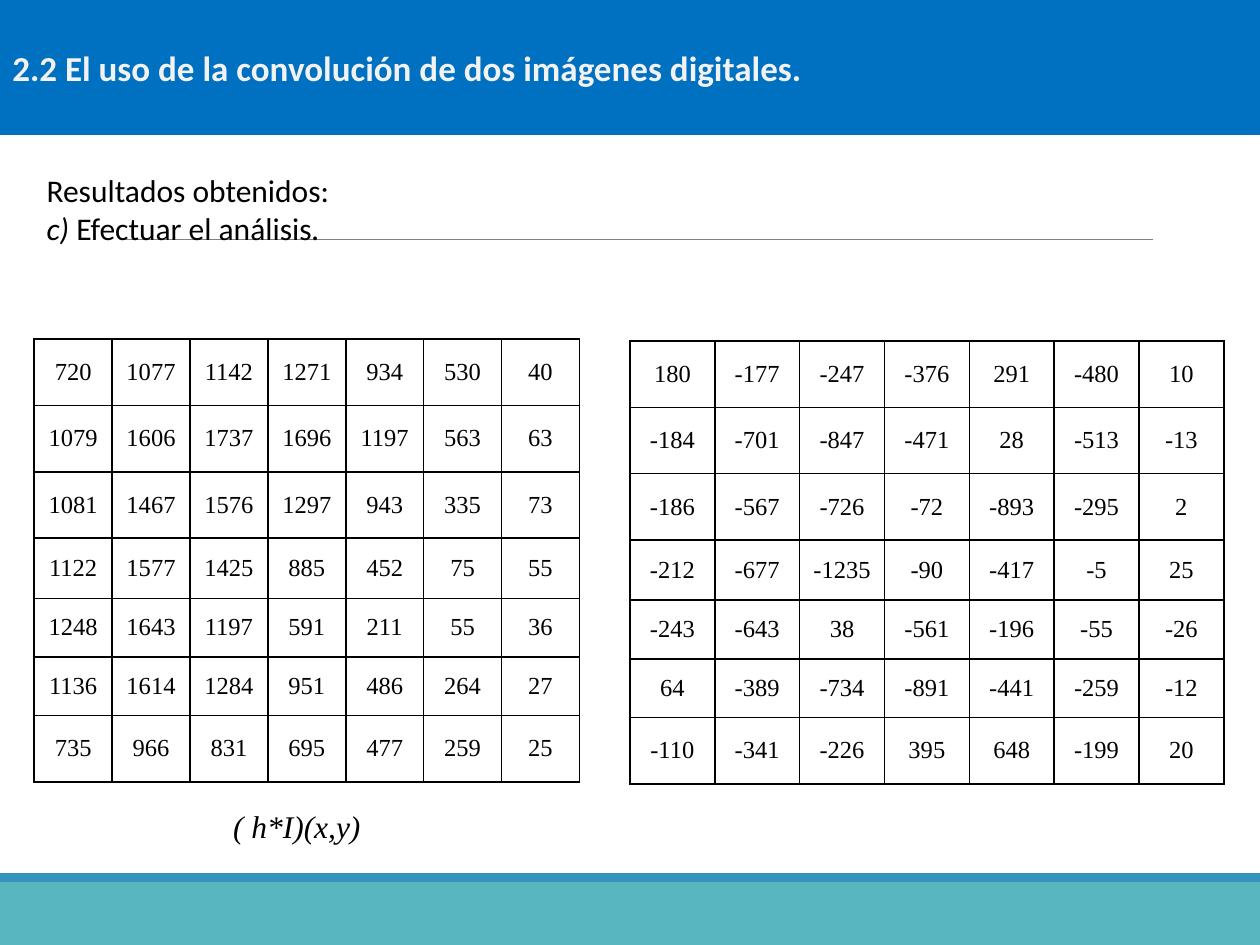
from dataclasses import dataclass

from lxml import etree
from pptx import Presentation
from pptx import util as u
from pptx.dml.color import RGBColor
from pptx.enum import shapes, text
from pptx.oxml import ns

BLACK = RGBColor(0x00, 0x00, 0x00)
WHITE = RGBColor(0xFF, 0xFF, 0xFF)
OFF_WHITE = RGBColor(0xF2, 0xF2, 0xF2)
BLUE = RGBColor(0x00, 0x70, 0xC0)
DARK_TEAL = RGBColor(0x34, 0x94, 0xBA)
TEAL = RGBColor(0x58, 0xB6, 0xC0)
GRAY = RGBColor(0x80, 0x80, 0x80)

SANS, SERIF = "Calibri", "Times New Roman"
ROW_HEIGHTS = [1.34, 1.34, 1.34, 1.21, 1.18, 1.18, 1.34]
CLEAR_ROWS, CLEAR_COLS = range(3, 6), range(5)  # cells without a fill


@dataclass
class Band:
    top: float
    height: float
    color: RGBColor


@dataclass
class Matrix:
    left: float
    top: float
    col_width: float
    values: list[list[int]]


FOOTER = [Band(17.78, 1.27, TEAL), Band(17.6, 0.18, DARK_TEAL)]
HEADER = Band(0, 2.72, BLUE)

CONVOLUTION = Matrix(0.69, 6.83, 1.57, [
    [720, 1077, 1142, 1271, 934, 530, 40],
    [1079, 1606, 1737, 1696, 1197, 563, 63],
    [1081, 1467, 1576, 1297, 943, 335, 73],
    [1122, 1577, 1425, 885, 452, 75, 55],
    [1248, 1643, 1197, 591, 211, 55, 36],
    [1136, 1614, 1284, 951, 486, 264, 27],
    [735, 966, 831, 695, 477, 259, 25],
])
DIFFERENCE = Matrix(12.7, 6.87, 1.71, [
    [180, -177, -247, -376, 291, -480, 10],
    [-184, -701, -847, -471, 28, -513, -13],
    [-186, -567, -726, -72, -893, -295, 2],
    [-212, -677, -1235, -90, -417, -5, 25],
    [-243, -643, 38, -561, -196, -55, -26],
    [64, -389, -734, -891, -441, -259, -12],
    [-110, -341, -226, 395, 648, -199, 20],
])


def set_font(p, name: str, size: float, color: RGBColor) -> None:
    p.font.name, p.font.size = name, u.Pt(size)
    p.font.color.rgb = color


def add_band(s, band: Band):
    sp = s.shapes.add_shape(shapes.MSO_SHAPE.RECTANGLE, 0, u.Cm(band.top),
                            u.Cm(25.4), u.Cm(band.height))
    sp.shadow.inherit = False
    sp.fill.solid()
    sp.fill.fore_color.rgb = band.color
    sp.line.fill.background()
    return sp


def add_borders(cell) -> None:
    tc_pr = cell._tc.get_or_add_tcPr()
    for i, side in enumerate(("lnL", "lnR", "lnT", "lnB")):
        ln = etree.Element(ns.qn(f"a:{side}"), w=str(u.Pt(1)))
        fill = etree.SubElement(ln, ns.qn("a:solidFill"))
        etree.SubElement(fill, ns.qn("a:srgbClr"), val=str(BLACK))
        tc_pr.insert(i, ln)


def add_matrix(s, matrix: Matrix) -> None:
    rows, cols = len(matrix.values), len(matrix.values[0])
    table = s.shapes.add_table(
        rows, cols, u.Cm(matrix.left), u.Cm(matrix.top),
        u.Cm(matrix.col_width * cols), u.Cm(sum(ROW_HEIGHTS))).table
    table.first_row = table.horz_banding = False
    for col in table.columns:
        col.width = u.Cm(matrix.col_width)
    for r, (height, values) in enumerate(zip(ROW_HEIGHTS, matrix.values)):
        table.rows[r].height = u.Cm(height)
        for c, value in enumerate(values):
            cell = table.cell(r, c)
            cell.vertical_anchor = text.MSO_ANCHOR.MIDDLE
            if r in CLEAR_ROWS and c in CLEAR_COLS:
                cell.fill.background()
            else:
                cell.fill.solid()
                cell.fill.fore_color.rgb = WHITE
            add_borders(cell)
            p = cell.text_frame.paragraphs[0]
            p.text = str(value)
            p.alignment = text.PP_ALIGN.CENTER
            set_font(p, SERIF, 14, BLACK)


def add_text(s, left: float, top: float, width: float, height: float,
             wrap: bool):
    box = s.shapes.add_textbox(u.Cm(left), u.Cm(top), u.Cm(width), u.Cm(height))
    tf = box.text_frame
    tf.word_wrap = wrap
    return tf


def main() -> None:
    prs = Presentation()
    prs.slide_width, prs.slide_height = u.Cm(25.4), u.Cm(19.05)
    s = prs.slides.add_slide(prs.slide_layouts[6])

    # Footer bands and rule
    for band in FOOTER:
        add_band(s, band)
    rule = s.shapes.add_connector(shapes.MSO_CONNECTOR.STRAIGHT, u.Cm(2.49),
                                  u.Cm(4.83), u.Cm(23.24), u.Cm(4.83))
    rule.line.color.rgb = GRAY
    rule.line.width = u.Pt(0.5)
    etree.SubElement(rule._element.spPr, ns.qn("a:effectLst"))

    # Introduction
    tf = add_text(s, 0.69, 3.33, 24, 2.57, True)
    intro = [[("Resultados obtenidos:", False)],
             [("c) ", True), ("Efectuar el análisis", False), (".", True)]]
    for i, runs in enumerate(intro):
        p = tf.add_paragraph() if i else tf.paragraphs[0]
        p.alignment = text.PP_ALIGN.JUSTIFY
        set_font(p, SANS, 18, BLACK)
        for words, italic in runs:
            r = p.add_run()
            r.text, r.font.italic = words, italic

    # Header
    tf = add_band(s, HEADER).text_frame
    tf.vertical_anchor = text.MSO_ANCHOR.MIDDLE
    p = tf.paragraphs[0]
    p.text = "2.2 El uso de la convolución de dos imágenes digitales."
    p.alignment = text.PP_ALIGN.LEFT
    p.font.bold = True
    set_font(p, SANS, 20, OFF_WHITE)

    # Matrices and caption
    add_matrix(s, CONVOLUTION)
    add_matrix(s, DIFFERENCE)
    tf = add_text(s, 4.29, 16.15, 3.43, 1.02, False)
    p = tf.paragraphs[0]
    p.text = " ( h*I)(x,y)"
    p.font.italic = True
    set_font(p, SERIF, 18, BLACK)

    prs.save("out.pptx")


if __name__ == "__main__":
    main()
